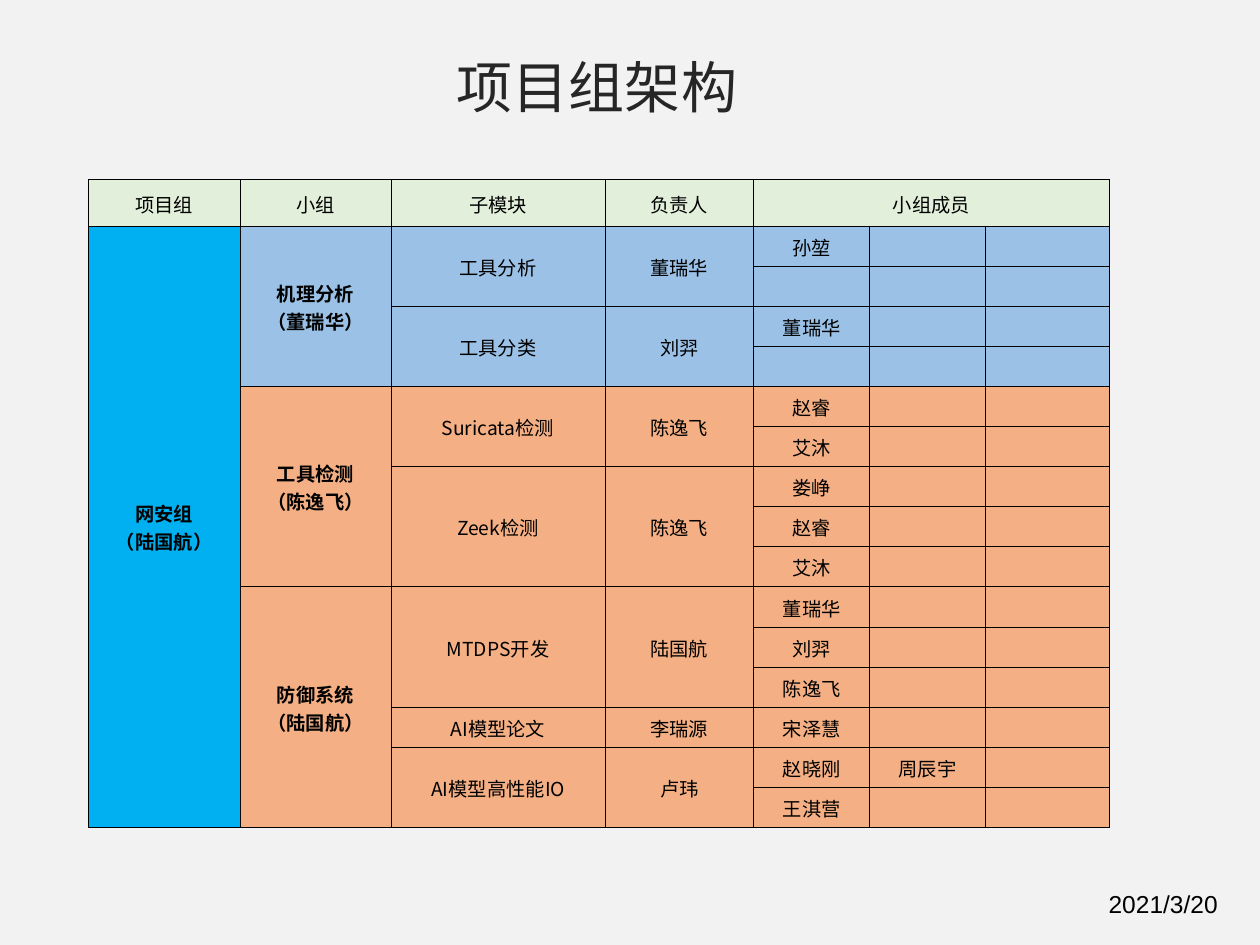
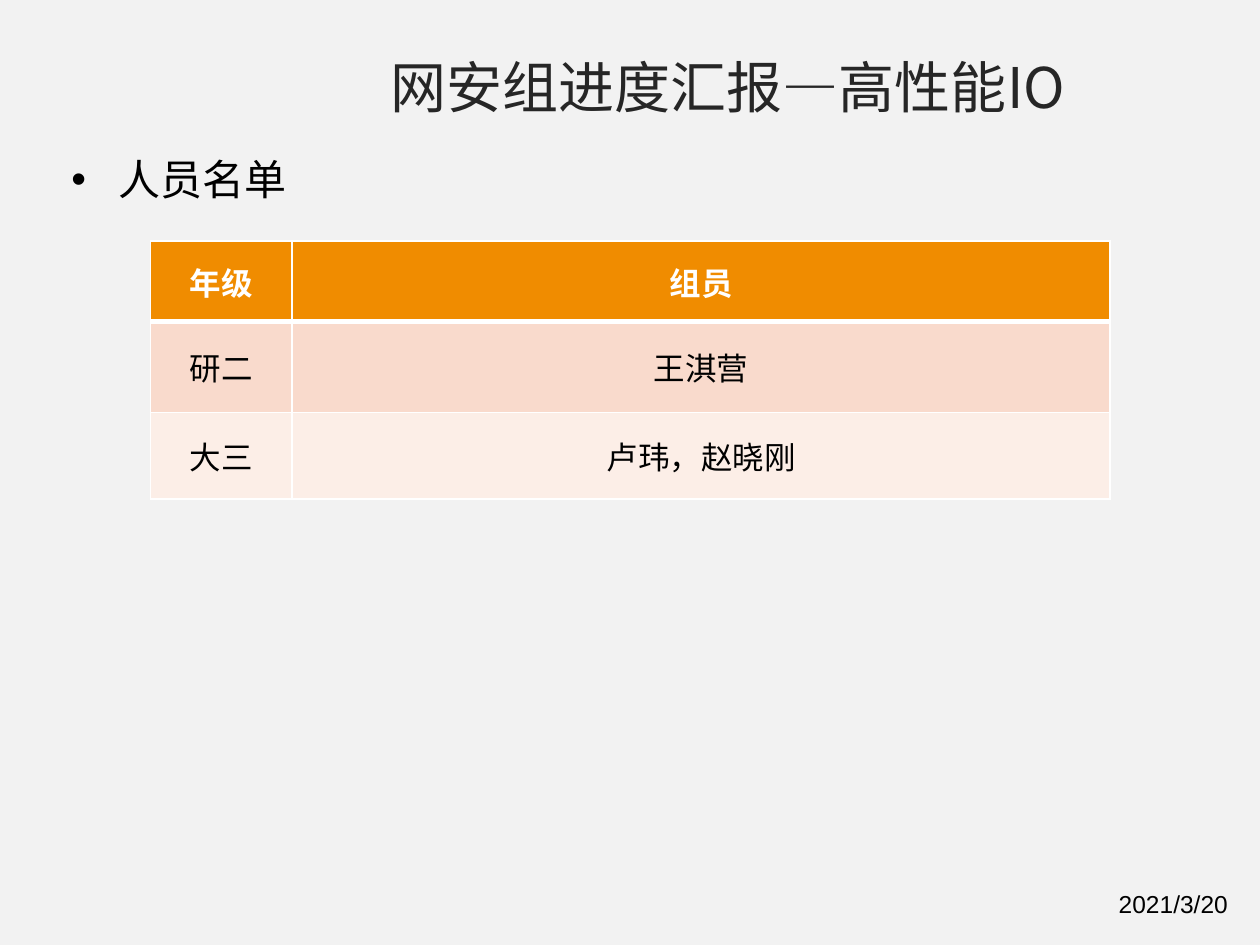
from pptx import Presentation
from pptx import util as u
from pptx.dml.color import RGBColor
from pptx.enum import text
from pptx.oxml.ns import qn
from lxml import etree

Pt = u.Pt
CJK = "Noto Sans CJK SC"
BACKGROUND = RGBColor(0xF2, 0xF2, 0xF2)
TITLE = RGBColor(0x26, 0x26, 0x26)
BLACK = RGBColor(0, 0, 0)
WHITE = RGBColor(0xFF, 0xFF, 0xFF)
GREEN = RGBColor(0xE2, 0xEF, 0xDA)
CYAN = RGBColor(0x00, 0xB0, 0xF0)
BLUE = RGBColor(0x9B, 0xC2, 0xE6)
ORANGE = RGBColor(0xF4, 0xB0, 0x84)
AMBER = RGBColor(0xF0, 0x8C, 0x00)
PEACH = RGBColor(0xF9, 0xDA, 0xCC)
CREAM = RGBColor(0xFC, 0xEE, 0xE7)


def write(tf, words, size, color, font=CJK, bold=False, align=None):
    tf.text = words
    for p in tf.paragraphs:
        p.alignment = align
        for r in p.runs:
            r.font.size, r.font.bold, r.font.name = Pt(size), bold, font
            r.font.color.rgb = color
            etree.SubElement(r._r.rPr, qn("a:ea"), typeface=CJK)
        if not p.runs:
            p._p.get_or_add_endParaRPr().set("sz", str(size * 100))


def paint(cell, fill, line, widths):
    """Borders (left, right, top, bottom) in points, then the fill."""
    cell.vertical_anchor = text.MSO_ANCHOR.MIDDLE
    tcPr = cell._tc.get_or_add_tcPr()
    for side, width in zip("LRTB", widths):
        ln = etree.SubElement(tcPr, qn(f"a:ln{side}"), w=str(Pt(width)))
        solid = etree.SubElement(ln, qn("a:solidFill"))
        etree.SubElement(solid, qn("a:srgbClr"), val=str(line))
    cell.fill.solid()
    cell.fill.fore_color.rgb = fill


prs = Presentation()
prs.slide_width, prs.slide_height = Pt(720), Pt(540)
CENTER = text.PP_ALIGN.CENTER

# Background, title and date on both slides
pages = [("项目组架构", 254, 176.5, 626.4, 95),
         ("网安组进度汇报—高性能IO", 216, 408, 632.2, 89.3)]
slides = []
for title, title_left, title_width, date_left, date_width in pages:
    s = prs.slides.add_slide(prs.slide_layouts[6])
    s.background.fill.solid()
    s.background.fill.fore_color.rgb = BACKGROUND
    tf = s.shapes.add_textbox(Pt(title_left), Pt(26.6), Pt(title_width), Pt(46)).text_frame
    tf.word_wrap = False
    write(tf, title, 32, TITLE)
    tf = s.shapes.add_textbox(Pt(date_left), Pt(504.7), Pt(date_width), Pt(24.5)).text_frame
    tf.word_wrap = True
    write(tf, "2021/3/20", 14, BLACK, "Arial")
    slides.append(s)

# Slide 1: group > module, leader > rows of members
headers = ["项目组", "小组", "子模块", "负责人", "小组成员"]
groups = [
    ("机理分析\v（董瑞华）", BLUE, [
        ("工具分析", "董瑞华", [["孙堃"], []]),
        ("工具分类", "刘羿", [["董瑞华"], []])]),
    ("工具检测\n（陈逸飞）", ORANGE, [
        ("Suricata检测", "陈逸飞", [["赵睿"], ["艾沐"]]),
        ("Zeek检测", "陈逸飞", [["娄峥"], ["赵睿"], ["艾沐"]])]),
    ("防御系统\n（陆国航）", ORANGE, [
        ("MTDPS开发", "陆国航", [["董瑞华"], ["刘羿"], ["陈逸飞"]]),
        ("AI模型论文", "李瑞源", [["宋泽慧"]]),
        ("AI模型高性能IO", "卢玮", [["赵晓刚", "周辰宇"], ["王淇营"]])]),
]
col_widths = [86.6, 86.4, 122.2, 85.1, 66.3, 65.8, 70.9]
row_heights = [26.6] + [22.93] * 15
tbl = slides[0].shapes.add_table(16, 7, Pt(50.5), Pt(102.6), Pt(sum(col_widths)),
                                 Pt(sum(row_heights))).table
tbl.first_row = tbl.horz_banding = False
for col, width in zip(tbl.columns, col_widths):
    col.width = Pt(width)
for row, height in zip(tbl.rows, row_heights):
    row.height = Pt(height)

# Each block is (row, column, rows spanned, columns spanned, words)
blocks = [(0, c, 1, 3 if c == 4 else 1, words) for c, words in enumerate(headers)]
blocks.append((1, 0, 15, 1, "网安组\v（陆国航）"))
fills = [GREEN]
for group, fill, modules in groups:
    start = top = len(fills)
    for module, leader, members in modules:
        blocks += [(top, 2, len(members), 1, module), (top, 3, len(members), 1, leader)]
        for names in members:
            blocks += [(top, 4 + i, 1, 1, name) for i, name in enumerate(names)]
            top += 1
    blocks.append((start, 1, top - start, 1, group))
    fills += [fill] * (top - start)

for i, fill in enumerate(fills):
    for j in range(7):
        cell = tbl.cell(i, j)
        cell.margin_left = cell.margin_right = cell.margin_top = Pt(0.75)
        cell.margin_bottom = 0
        write(cell.text_frame, "", 11, BLACK)
        paint(cell, CYAN if i and j == 0 else fill, BLACK, [0.5] * 4)
for i, j, down, across, words in blocks:
    cell = tbl.cell(i, j)
    if down * across > 1:
        cell.merge(tbl.cell(i + down - 1, j + across - 1))
    write(cell.text_frame, words, 11, BLACK, bold=i > 0 and j < 2, align=CENTER)

# Slide 2: bulleted heading
tf = slides[1].shapes.add_textbox(Pt(33.8), Pt(84.2), Pt(196.6), Pt(46.8)).text_frame
tf.word_wrap = True
write(tf, "人员名单", 24, BLACK)
pPr = tf.paragraphs[0]._p.get_or_add_pPr()
pPr.set("marL", str(Pt(27)))
pPr.set("indent", str(Pt(-27)))
etree.SubElement(pPr, qn("a:buFont"), typeface="Arial")
etree.SubElement(pPr, qn("a:buChar"), char="•")

# Slide 2: members by grade
grades = [("年级", "组员", AMBER, 46.1), ("研二", "王淇营", PEACH, 51.8),
          ("大三", "卢玮，赵晓刚", CREAM, 49.7)]
tbl = slides[1].shapes.add_table(3, 2, Pt(86), Pt(137.7), Pt(548.3), Pt(147.6)).table
tbl.first_row = tbl.horz_banding = False
tbl.columns[0].width, tbl.columns[1].width = Pt(81), Pt(467.3)
for i, (grade, names, fill, height) in enumerate(grades):
    tbl.rows[i].height = Pt(height)
    for j, words in enumerate((grade, names)):
        cell = tbl.cell(i, j)
        write(cell.text_frame, words, 18, BLACK if i else WHITE, "Calibri", i == 0, CENTER)
        paint(cell, fill, WHITE, [1, 1, 3 if i == 1 else 1, 3 if i == 0 else 1])

prs.save("out.pptx")
